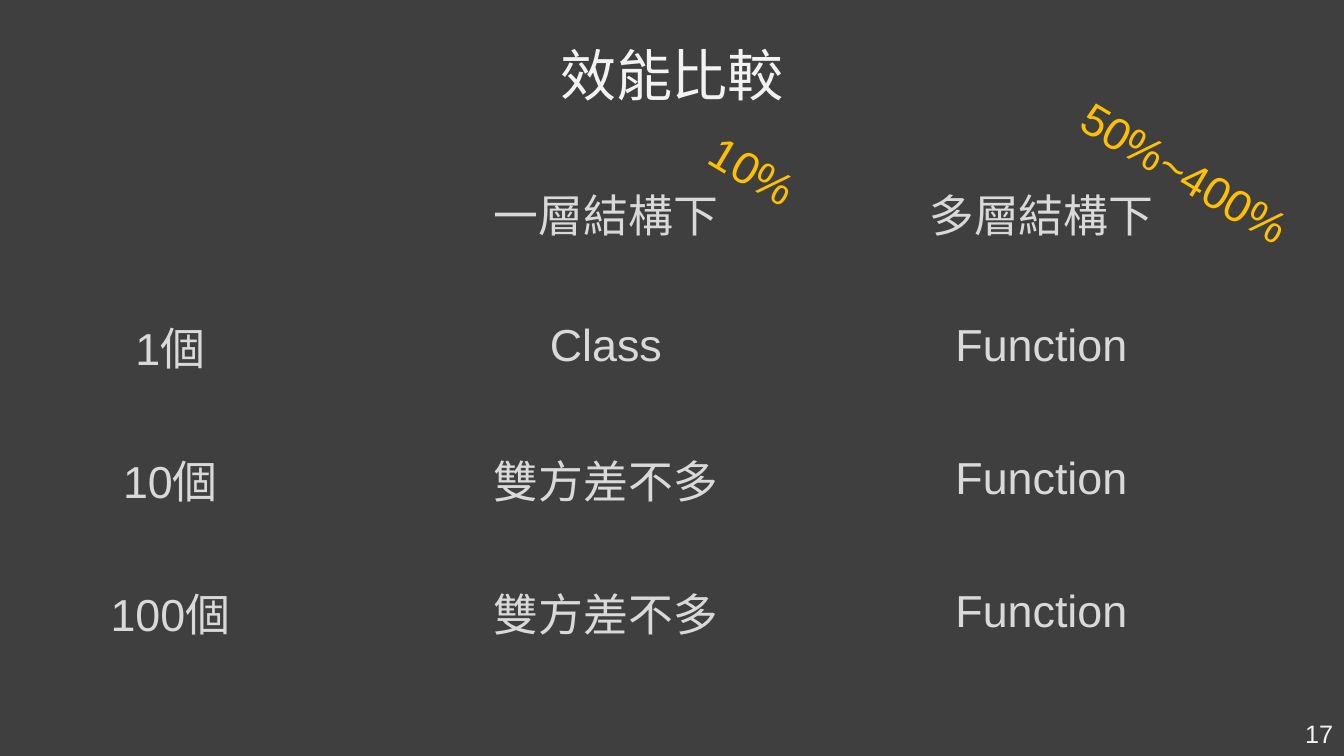
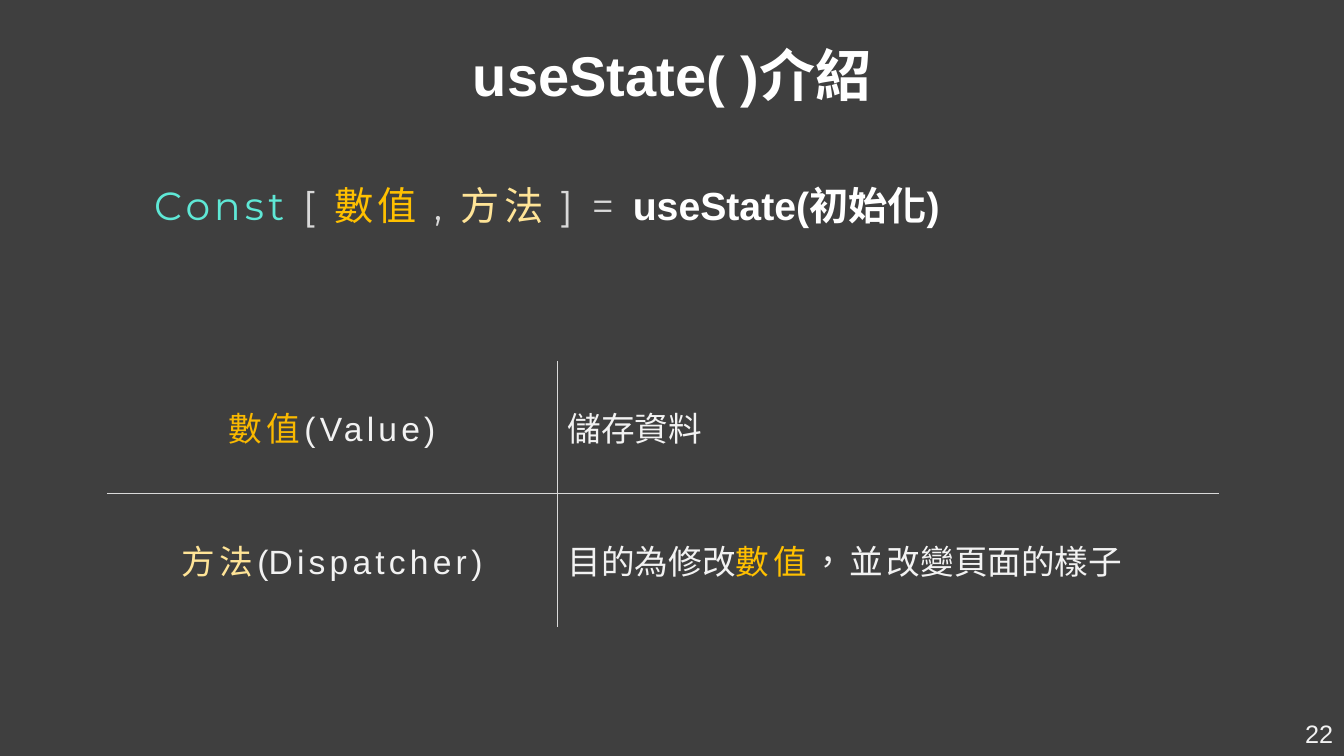
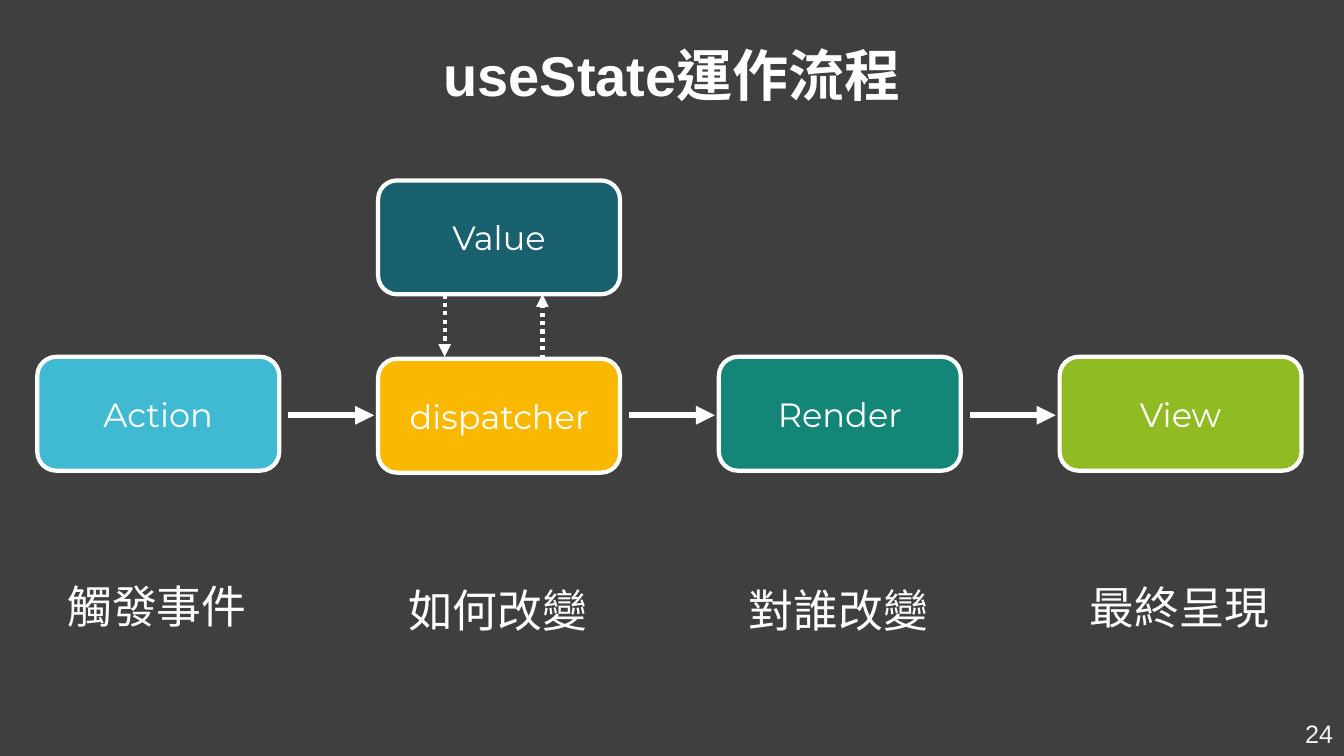
import pptx
import pptx.dml.color
import pptx.enum.dml
import pptx.enum.lang
import pptx.enum.shapes
import pptx.enum.text
import pptx.oxml
import pptx.oxml.ns
import pptx.util
from lxml import etree

Inches = pptx.util.Inches
Pt = pptx.util.Pt
RGBColor = pptx.dml.color.RGBColor
ALIGN = pptx.enum.text.PP_ALIGN
MIDDLE = pptx.enum.text.MSO_ANCHOR.MIDDLE

# Colours
BACKGROUND = RGBColor(0x3F, 0x3F, 0x3F)
WHITE = RGBColor(0xFF, 0xFF, 0xFF)
PALE = RGBColor(0xF2, 0xF2, 0xF2)
GREY = RGBColor(0xD9, 0xD9, 0xD9)
GOLD = RGBColor(0xFF, 0xC0, 0x00)
AMBER = RGBColor(0xFA, 0xB9, 0x00)
CREAM = RGBColor(0xFF, 0xE4, 0x97)
MINT = RGBColor(0x5F, 0xE8, 0xD6)
SKY = RGBColor(0x40, 0xBA, 0xD2)
GREEN = RGBColor(0x13, 0x86, 0x77)
LIME = RGBColor(0x90, 0xBB, 0x23)
TEAL = RGBColor(0x1A, 0x61, 0x6F)

# Text formats
BODY = {"name": "Arial", "size": Pt(32)}
TITLE = {"name": "Arial", "size": Pt(40)}
NUMBER = {"name": "Arial", "size": Pt(18)}
CODE = {"name": "Montserrat", "size": Pt(28)}
DEFINITION = {"name": "Arial", "size": Pt(24)}
BOX = {"name": "Montserrat", "size": Pt(24)}
LABEL = {"name": "Cabin", "size": Pt(32)}
BOLD = {"name": "Arial", "bold": True}
MONTSERRAT = {"name": "Montserrat"}

NO_TABLE_STYLE = "{2D5ABB26-0587-4C30-8999-92F81FD0307C}"


def add_xml(parent, tag, **attributes):
    element = etree.SubElement(parent, pptx.oxml.ns.qn(tag))
    for name, value in attributes.items():
        element.set(name, value)
    return element


class Deck:
    """Holds the shared style and the current slide."""

    def __init__(self):
        self.presentation = pptx.Presentation()
        self.presentation.slide_width = Inches(13.33)
        self.presentation.slide_height = Inches(7.5)
        self.slide = None

    def start(self, title, number, colour=WHITE, bold=True):
        self.slide = self.presentation.slides.add_slide(self.presentation.slide_layouts[6])
        fill = self.slide.background.fill
        fill.solid()
        fill.fore_color.rgb = BACKGROUND
        self.text(11.65, 7.08, 1.67, 0.4, [(number, PALE)], NUMBER, ALIGN.RIGHT)
        shape = self.text(0, 0.47, 13.33, 0.61, [(title, colour)], {**TITLE, "bold": bold}, ALIGN.CENTER)
        shape.text_frame.vertical_anchor = MIDDLE
        paragraph = shape.text_frame.paragraphs[0]
        paragraph.line_spacing = 0.9
        paragraph.space_before = Pt(12)

    def add_runs(self, frame, runs, style, align=ALIGN.LEFT):
        """Each run is (text, colour, optional letter spacing, optional format changes)."""
        paragraph = frame.paragraphs[0]
        paragraph.alignment = align
        for values in runs:
            self.add_run(paragraph, style, *values)

    def add_run(self, paragraph, style, text, colour, spacing=0, changes=None):
        run = paragraph.add_run()
        run.text = text
        run.font.color.rgb = colour
        run.font.language_id = pptx.enum.lang.MSO_LANGUAGE_ID.TRADITIONAL_CHINESE
        for name, value in {**style, **(changes or {})}.items():
            setattr(run.font, name, value)
        if spacing:
            run._r.get_or_add_rPr().set("spc", str(spacing * 100))

    def text(self, left, top, width, height, runs, style, align=ALIGN.LEFT, wrap=True, rotation=0):
        shape = self.slide.shapes.add_textbox(Inches(left), Inches(top), Inches(width), Inches(height))
        shape.rotation = rotation
        shape.text_frame.word_wrap = wrap
        self.add_runs(shape.text_frame, runs, style, align)
        return shape

    def table(self, left, top, widths, row_height, rows, style, aligns, grid=None):
        frame = self.slide.shapes.add_table(
            len(rows), len(widths), Inches(left), Inches(top),
            Inches(sum(widths)), Inches(row_height * len(rows)))
        table = frame.table
        table.first_row = table.horz_banding = False
        table._tbl.tblPr.find(pptx.oxml.ns.qn("a:tableStyleId")).text = NO_TABLE_STYLE
        for column, width in zip(table.columns, widths):
            column.width = Inches(width)
        for row_index, row in enumerate(rows):
            table.rows[row_index].height = Inches(row_height)
            for column_index, runs in enumerate(row):
                cell = table.cell(row_index, column_index)
                cell.vertical_anchor = MIDDLE
                self.add_runs(cell.text_frame, runs, style, aligns[column_index])
                if grid:
                    inner = {"a:lnL": column_index > 0, "a:lnR": column_index < len(widths) - 1,
                             "a:lnT": row_index > 0, "a:lnB": row_index < len(rows) - 1}
                    self.borders(cell, [tag for tag, shown in inner.items() if shown], grid)
                cell.fill.background()

    def borders(self, cell, tags, colour):
        properties = cell._tc.get_or_add_tcPr()
        for tag in tags:
            line = add_xml(properties, tag, w=str(Pt(1)))
            add_xml(add_xml(line, "a:solidFill"), "a:srgbClr", val=str(colour))

    def box(self, left, top, text, colour, width=2.4, height=1.13):
        shape = self.slide.shapes.add_shape(
            pptx.enum.shapes.MSO_SHAPE.ROUNDED_RECTANGLE,
            Inches(left), Inches(top), Inches(width), Inches(height))
        shape.shadow.inherit = False
        shape.fill.solid()
        shape.fill.fore_color.rgb = colour
        shape.line.color.rgb = WHITE
        shape.line.width = Pt(3)
        shape.text_frame.vertical_anchor = MIDDLE
        self.add_runs(shape.text_frame, [(text, WHITE)], BOX, ALIGN.CENTER)

    def arrow(self, start_x, start_y, end_x, end_y, width, dash=None):
        connector = self.slide.shapes.add_connector(
            pptx.enum.shapes.MSO_CONNECTOR.STRAIGHT,
            Inches(start_x), Inches(start_y), Inches(end_x), Inches(end_y))
        connector.line.color.rgb = WHITE
        connector.line.width = Pt(width)
        if dash:
            connector.line.dash_style = dash
        add_xml(connector.line._get_or_add_ln(), "a:tailEnd", type="triangle")
        add_xml(connector._element.spPr, "a:effectLst")


def performance_slide(deck):
    deck.start("效能比較", "17", PALE, bold=False)
    rows = [
        ["", "一層結構下", "多層結構下"],
        ["1個", "Class", "Function"],
        ["10個", "雙方差不多", "Function"],
        ["100個", "雙方差不多", "Function"],
    ]
    cells = [[[(text, GREY)] if text else [] for text in row] for row in rows]
    deck.table(-0.47, 1.45, [4.32] * 3, 1.32, cells, BODY, [ALIGN.CENTER] * 3)
    # Slanted gains beside the headings
    for left, top, width, gain in [(6.92, 1.4, 1.21, "10%"), (10.49, 1.47, 2.8, "50%~400%")]:
        deck.text(left, top, width, 0.64, [(gain, GOLD)], BODY, rotation=30.7)


def introduction_slide(deck):
    deck.start("useState( )介紹", "22")
    # Syntax line
    syntax = [("Const", MINT, 3), (" [ ", GREY, 3), ("數值 ", GOLD, 3), (", ", GREY, 3),
              ("方法 ", CREAM, 3), ("] = ", GREY, 3), ("useState(初始化)", WHITE, 0, BOLD)]
    deck.text(1.43, 1.75, 8.72, 0.57, syntax, CODE, wrap=False)
    # Meaning of the two parts
    rows = [
        [[("數值", AMBER, 3), ("(Value)", PALE, 3)], [("儲存資料", PALE)]],
        [[("方法", CREAM, 3, MONTSERRAT), ("(", PALE), ("Dispatcher", PALE, 3), (")", PALE)],
         [("目的為修改", PALE), ("數值", GOLD, 3, MONTSERRAT), ("，並", PALE, 3),
          ("改變頁面的樣子", PALE)]],
    ]
    deck.table(1.06, 3.58, [4.47, 6.56], 1.32, rows, DEFINITION, [ALIGN.CENTER, ALIGN.LEFT], GREY)


def flow_slide(deck):
    deck.start("useState運作流程", "24")
    first_left, pitch = 0.37, 3.38
    steps = [
        ("Action", SKY, 3.54, "觸發事件", 5.69),
        ("dispatcher", AMBER, 3.56, "如何改變", 5.73),
        ("Render", GREEN, 3.54, "對誰改變", 5.73),
        ("View", LIME, 3.54, "最終呈現", 5.7),
    ]
    # Steps, their captions and the arrows between them
    for index, (name, colour, top, caption, caption_top) in enumerate(steps):
        left = first_left + index * pitch
        deck.box(left, top, name, colour)
        deck.text(left + 0.2, caption_top, 2, 0.64, [(caption, WHITE)], LABEL, wrap=False)
        if index:
            deck.arrow(left - 0.89, 4.12, left - 0.04, 4.12, 4.5)
    # Value exchanged with the dispatcher
    deck.box(first_left + pitch, 1.79, "Value", TEAL)
    dots = pptx.enum.dml.MSO_LINE.ROUND_DOT
    deck.arrow(4.41, 2.92, 4.41, 3.54, 3, dots)
    deck.arrow(5.38, 3.56, 5.38, 2.92, 3, dots)


def main():
    deck = Deck()
    performance_slide(deck)
    introduction_slide(deck)
    flow_slide(deck)
    deck.presentation.save("out.pptx")


if __name__ == "__main__":
    main()
